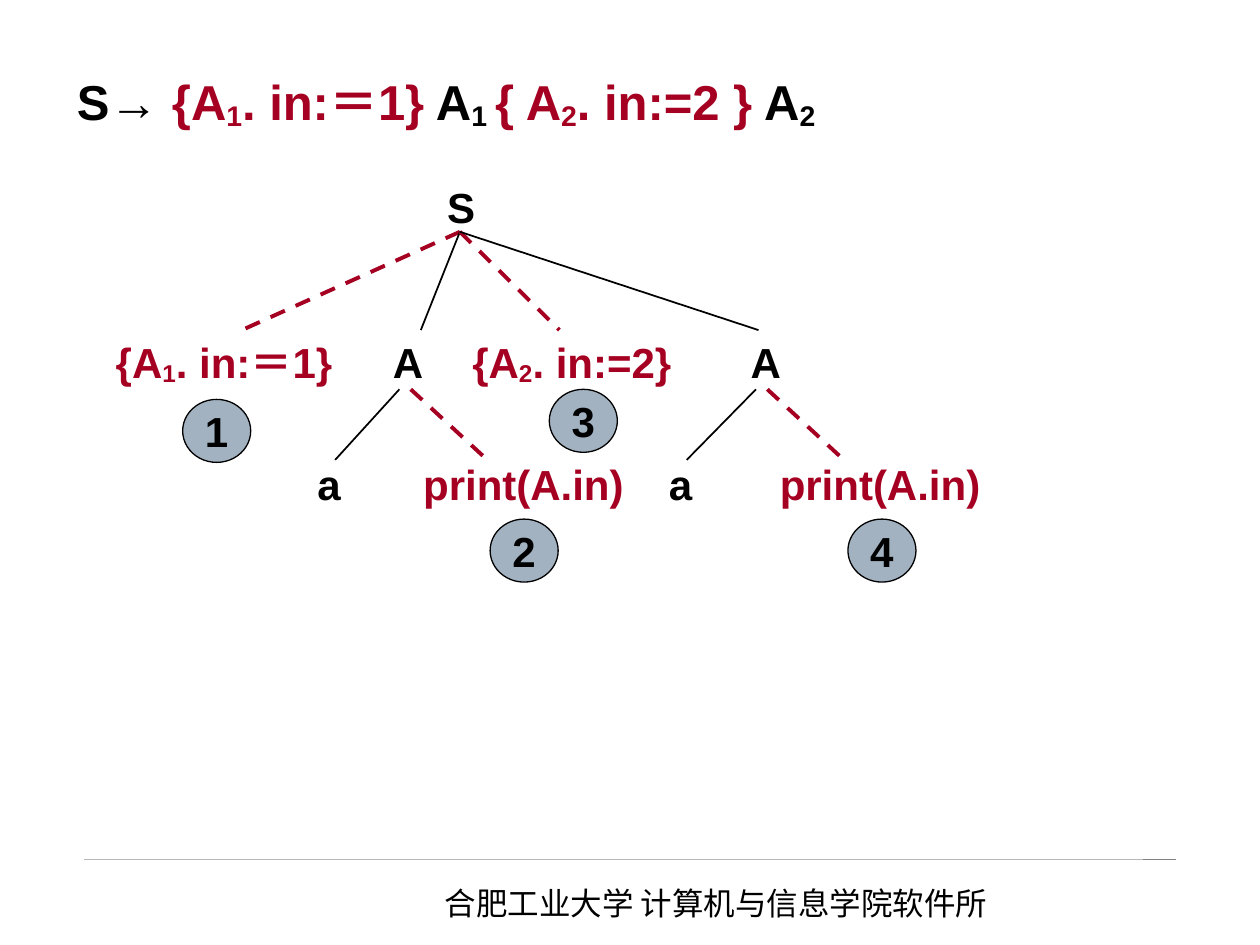
"""Build a slide with a translation scheme and its annotated parse tree."""
from typing import NamedTuple

from lxml import etree
from pptx import Presentation
from pptx.dml.color import RGBColor
from pptx.enum.dml import MSO_LINE
from pptx.enum.shapes import MSO_CONNECTOR, MSO_SHAPE
from pptx.enum.text import MSO_ANCHOR, PP_ALIGN
from pptx.oxml.ns import qn
from pptx.util import Inches, Pt

STRAIGHT = MSO_CONNECTOR.STRAIGHT
OVAL = MSO_SHAPE.OVAL
DASH = MSO_LINE.DASH
TOP, MIDDLE = MSO_ANCHOR.TOP, MSO_ANCHOR.MIDDLE
LEFT, CENTER = PP_ALIGN.LEFT, PP_ALIGN.CENTER

COLORS = {"ink": "000000", "red": "A50021", "disc": "A3B2C1", "rule": "B8B8B8", "tip": "808080"}
LATIN, HAN = "Arial", "Noto Sans CJK SC"
BOLD = {"name": LATIN, "size": Pt(24), "bold": True}
HEAD = {**BOLD, "size": Pt(28)}
FOOT = {"name": HAN, "size": Pt(18), "bold": False}
ROOT = (3.65, 1.84)
ROW, LEAF, HIGH = 2.62, 3.59, 0.5


class Bit(NamedTuple):
    text: str
    color: str = "ink"
    base: int = 0


class Label(NamedTuple):
    x: float
    y: float
    w: float
    bits: list[Bit]


class Edge(NamedTuple):
    start: tuple[float, float]
    end: tuple[float, float]
    color: str = "ink"
    width: float = 1
    dash: bool = False


class Step(NamedTuple):
    x: float
    y: float
    text: str


def rgb(name: str) -> RGBColor:
    return RGBColor.from_string(COLORS[name])


def write(frame, bits: list[Bit], style: dict, align=LEFT, anchor=TOP, wrap: bool = True) -> None:
    frame.word_wrap = wrap
    frame.vertical_anchor = anchor
    line = frame.paragraphs[0]
    line.alignment = align
    for bit in bits:
        run = line.add_run()
        run.text = bit.text
        for key, value in style.items():
            setattr(run.font, key, value)
        run.font.color.rgb = rgb(bit.color)
        props = run._r.get_or_add_rPr()
        etree.SubElement(props, qn("a:ea")).set("typeface", HAN)
        if bit.base:
            props.set("baseline", str(bit.base * 1000))


def place(shape, x: float, y: float, w: float, h: float) -> None:
    spots = {"left": x, "top": y, "width": w, "height": h}
    for key, value in spots.items():
        setattr(shape, key, Inches(value))


def add_label(slide, label: Label, style: dict = BOLD, high: float = HIGH) -> None:
    box = slide.shapes.add_textbox(*map(Inches, (label.x, label.y, label.w, high)))
    write(box.text_frame, label.bits, style)


def add_edge(slide, edge: Edge) -> None:
    link = slide.shapes.add_connector(STRAIGHT, *map(Inches, edge.start + edge.end))
    link.line.color.rgb = rgb(edge.color)
    link.line.width = Pt(edge.width)
    if edge.dash:
        link.line.dash_style = DASH
    etree.SubElement(link._element.spPr, qn("a:effectLst"))


def add_step(slide, step: Step) -> None:
    disc = slide.shapes.add_shape(OVAL, *map(Inches, (step.x, step.y, 0.54, HIGH)))
    disc.shadow.inherit = False
    disc.fill.solid()
    disc.fill.fore_color.rgb = rgb("disc")
    disc.line.color.rgb = rgb("ink")
    disc.line.width = Pt(0.75)
    write(disc.text_frame, [Bit(step.text)], BOLD, CENTER, MIDDLE, False)


def action(index: str, tail: str) -> list[Bit]:
    return [Bit("{A", "red"), Bit(index, "red", -11), Bit(tail, "red")]


def red_edge(start: tuple[float, float], end: tuple[float, float]) -> Edge:
    return Edge(start, end, "red", 2.25, True)


TITLE = [
    Bit("S→ "), Bit("{A", "red"), Bit("1", "red", -12), Bit(". in:＝1}", "red"),
    Bit(" A"), Bit("1 ", base=-12), Bit("{ A", "red"), Bit("2", "red", -12),
    Bit(". in:=2 }", "red"), Bit(" A"), Bit("2", base=-12),
]
PRINT = [Bit("print(A.in)", "red")]
LABELS = [
    Label(3.45, 1.39, 0.54, [Bit("S")]),
    Label(0.82, ROW, 2.13, action("1", ". in:＝1}")),
    Label(3.02, ROW, 0.55, [Bit("A")]),
    Label(3.65, ROW, 1.89, action("2", ". in:=2}")),
    Label(5.86, ROW, 0.64, [Bit("A")]),
    Label(2.42, LEAF, 0.64, [Bit("a")]),
    Label(3.26, LEAF, 1.89, PRINT),
    Label(5.21, LEAF, 0.64, [Bit("a")]),
    Label(6.09, LEAF, 1.82, PRINT),
]
EDGES = [
    Edge((0.67, 6.82), (9.33, 6.82), "rule", 0.25),
    Edge((9.07, 6.82), (9.33, 6.82), "tip", 0.25),
    red_edge(ROOT, (1.92, ROW)),
    Edge(ROOT, (3.34, ROW)),
    red_edge(ROOT, (4.44, ROW)),
    Edge(ROOT, (6.02, ROW)),
    Edge((3.17, 3.09), (2.66, 3.65)),
    red_edge((3.26, 3.09), (3.9, 3.68)),
    Edge((6, 3.09), (5.45, 3.65)),
    red_edge((6.09, 3.09), (6.73, 3.68)),
]
STEPS = [Step(1.45, 3.17, "1"), Step(3.89, 4.12, "2"), Step(4.36, 3.09, "3"), Step(6.73, 4.12, "4")]
OWNER = Label(3.43, 6.97, 5.2, [Bit("合肥工业大学 计算机与信息学院软件所")])


def main() -> None:
    deck = Presentation()
    deck.slide_width, deck.slide_height = Inches(10), Inches(7.5)
    slide = deck.slides.add_slide(deck.slide_layouts[5])
    title = slide.shapes.title
    place(title, 0.51, 0.52, 7.64, 0.58)
    write(title.text_frame, TITLE, HEAD)
    for edge in EDGES:
        add_edge(slide, edge)
    for label in LABELS:
        add_label(slide, label)
    for step in STEPS:
        add_step(slide, step)
    add_label(slide, OWNER, FOOT, 0.4)
    deck.save("out.pptx")


if __name__ == "__main__":
    main()
